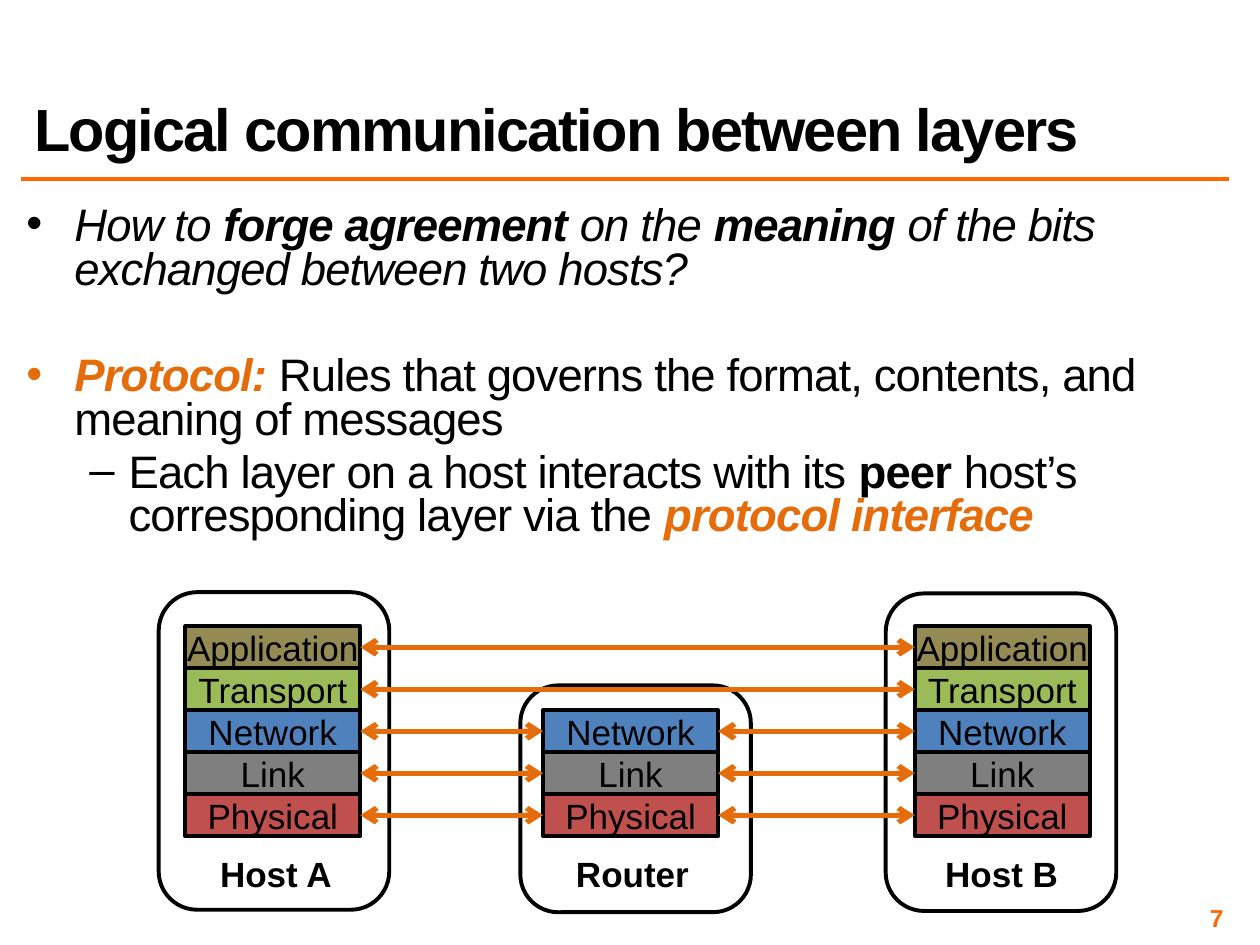
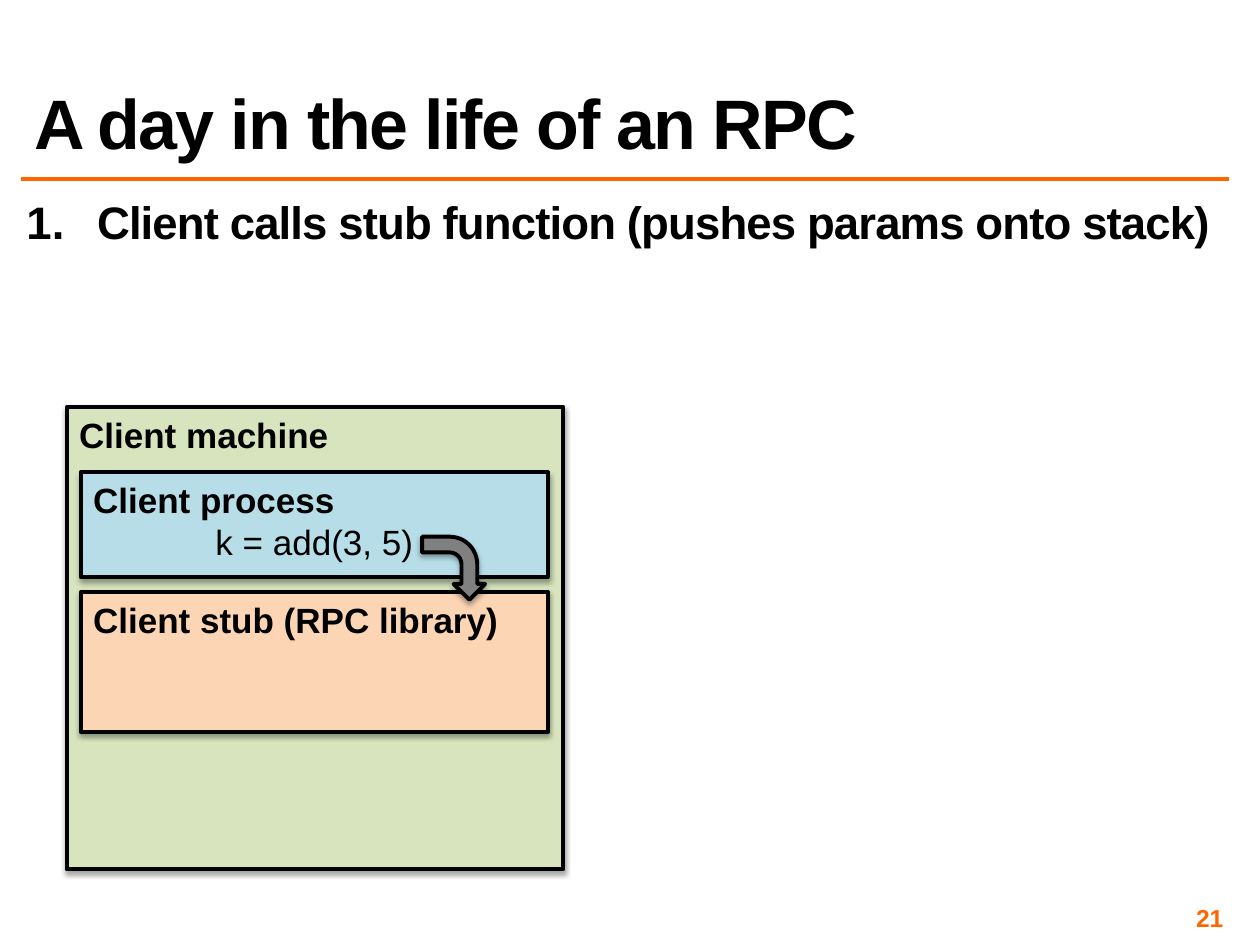
from lxml import etree
from pptx import Presentation
from pptx.dml.color import RGBColor
from pptx.enum.shapes import MSO_CONNECTOR, MSO_SHAPE
from pptx.enum.text import MSO_ANCHOR as Anchor, MSO_AUTO_SIZE as AutoSize, PP_ALIGN as Align
from pptx.oxml.ns import qn
from pptx.util import Inches, Pt

FONT = "Arial"
HEX = {
    "black": "000000", "rule": "FF6600", "accent": "E46C0A",
    "application": "948A54", "transport": "9BBB59", "network": "4F81BD",
    "link": "7F7F7F", "physical": "C0504D",
    "machine": "D7E4BD", "process": "B7DEE8", "stub": "FCD5B5", "call": "808080",
}
COLORS = {name: RGBColor.from_string(value) for name, value in HEX.items()}


def style_font(paragraph, size, color="black", bold=None, spacing=None):
    """Format a whole paragraph; spacing is in hundredths of a point."""
    font = paragraph.font
    font.name, font.size, font.bold = FONT, Pt(size), bold
    font.color.rgb = COLORS[color]
    if spacing:
        font._rPr.set("spc", str(spacing))


def add_outlined(slide, preset, left, top, width, height, fill=None):
    """Add a black-outlined shape without shadow, hollow if no fill is named."""
    shape = slide.shapes.add_shape(
        preset, Inches(left), Inches(top), Inches(width), Inches(height))
    shape.shadow.inherit = False
    if fill:
        shape.fill.solid()
        shape.fill.fore_color.rgb = COLORS[fill]
    else:
        shape.fill.background()
    shape.line.color.rgb = COLORS["black"]
    shape.line.width = Pt(2.25)
    return shape


prs = Presentation()
prs.slide_width, prs.slide_height = Inches(10), Inches(7.5)

# Each body paragraph: indent, hang, bullet tag, bullet attributes, bullet colour,
# space before, runs of (text, style), where b is bold, i italic and a accent.
dot = ("buChar", {"char": "•"})
dash = ("buChar", {"char": "–"})
number = ("buAutoNum", {"type": "arabicPeriod"})
protocol_points = [
    (0.38, 0.38, dot, "black", 0, [
        ("How to ", "i"), ("forge agreement ", "bi"), ("on the ", "i"),
        ("meaning", "bi"), (" of the bits exchanged between two hosts?", "i")]),
    (0.38, 0.38, dot, "accent", 36, [
        ("Protocol: ", "bia"),
        ("Rules that governs the format, contents, and meaning of messages", "")]),
    (0.81, 0.31, dash, "black", 5.2, [
        ("Each layer on a host interacts with its ", ""), ("peer", "b"),
        (" host’s corresponding layer via the ", ""), ("protocol interface", "bia")]),
]
rpc_steps = [
    (0.56, 0.56, number, "black", 0, [
        ("Client calls stub function (pushes params onto stack)", "b")]),
]
pages = [
    ("Logical communication between layers", 34, "7", 1.6, 2.79, protocol_points),
    ("A day in the life of an RPC", 40, "21", 1.58, 1.4, rpc_steps),
]

# Title, rule, body text and page number of every slide
slides = []
for heading, heading_size, page_number, body_top, body_height, points in pages:
    slide = prs.slides.add_slide(prs.slide_layouts[5])
    slides.append(slide)

    title = slide.shapes.title
    title.left, title.top = Inches(0.17), Inches(0.17)
    title.width, title.height = Inches(9.58), Inches(1.17)
    title.text_frame.text = heading
    title.text_frame.auto_size = AutoSize.NONE
    title.text_frame.vertical_anchor = Anchor.BOTTOM
    paragraph = title.text_frame.paragraphs[0]
    paragraph.alignment, paragraph.line_spacing = Align.LEFT, 0.8
    style_font(paragraph, heading_size, bold=True, spacing=-100)

    rule = slide.shapes.add_connector(
        MSO_CONNECTOR.STRAIGHT, Inches(0.17), Inches(1.42), Inches(9.75), Inches(1.42))
    rule.line.color.rgb, rule.line.width = COLORS["rule"], Pt(2)
    etree.SubElement(rule._element.spPr, qn("a:effectLst"))

    body = slide.shapes.add_textbox(
        Inches(0.17), Inches(body_top), Inches(9.59), Inches(body_height)).text_frame
    footer = slide.shapes.add_textbox(
        Inches(7.42), Inches(7.17), Inches(2.33), Inches(0.23)).text_frame
    for frame in (body, footer):
        frame.word_wrap = True
        frame.margin_left = frame.margin_right = Inches(0.04)
        frame.margin_top = frame.margin_bottom = Inches(0.04)

    for index, (indent, hang, bullet, bullet_color, gap, runs) in enumerate(points):
        paragraph = body.add_paragraph() if index else body.paragraphs[0]
        props = paragraph._p.get_or_add_pPr()
        props.set("marL", str(Inches(indent)))
        props.set("indent", str(-Inches(hang)))
        tint = etree.SubElement(props, qn("a:buClr"))
        etree.SubElement(tint, qn("a:srgbClr"), val=HEX[bullet_color])
        etree.SubElement(props, qn("a:buFont"), typeface=FONT)
        tag, attributes = bullet
        etree.SubElement(props, qn(f"a:{tag}"), attributes)
        paragraph.line_spacing, paragraph.space_before = 0.8, Pt(gap)
        style_font(paragraph, 26, spacing=-50)
        for text, style in runs:
            run = paragraph.add_run()
            run.text = text
            run.font.bold, run.font.italic = "b" in style, "i" in style
            if "a" in style:
                run.font.color.rgb = COLORS["accent"]

    footer.text = page_number
    footer.vertical_anchor = Anchor.MIDDLE
    footer.paragraphs[0].alignment = Align.RIGHT
    style_font(footer.paragraphs[0], 14, "rule", bold=True)

layers_slide, rpc_slide = slides

# Protocol stacks: name, stack left, first layer, label left, frame left, top, height
layers = ["Application", "Transport", "Network", "Link", "Physical"]
nodes = [
    ("Host A", 1.47, 0, 1.64, 1.26, 4.7, 2.52),
    ("Router", 4.31, 2, 4.47, 4.13, 5.44, 1.8),
    ("Host B", 7.26, 0, 7.4, 7.03, 4.71, 2.52),
]
layer_height = 1 / 3
stacks = {}
for node, stack_left, first_layer, label_left, frame_left, frame_top, frame_height in nodes:
    stacks[node] = {}
    for row, layer in enumerate(layers):
        if row < first_layer:
            continue
        box = add_outlined(layers_slide, MSO_SHAPE.RECTANGLE, stack_left,
                           4.97 + row * layer_height, 1.39, layer_height, layer.lower())
        box.text_frame.text = layer
        box.text_frame.word_wrap = False
        box.text_frame.vertical_anchor = Anchor.MIDDLE
        box.text_frame.paragraphs[0].alignment = Align.CENTER
        style_font(box.text_frame.paragraphs[0], 20)
        stacks[node][layer] = box

    label = layers_slide.shapes.add_textbox(
        Inches(label_left), Inches(6.72), Inches(1.1), Inches(0.44)).text_frame
    label.text = node
    label.word_wrap = False
    label.paragraphs[0].alignment = Align.CENTER
    style_font(label.paragraphs[0], 20, bold=True)
    add_outlined(layers_slide, MSO_SHAPE.ROUNDED_RECTANGLE,
                 frame_left, frame_top, 1.83, frame_height)

# Each layer talks to its nearest peers
for layer in layers:
    peers = [stack[layer] for stack in stacks.values() if layer in stack]
    for near, far in zip(peers, peers[1:]):
        link = layers_slide.shapes.add_connector(MSO_CONNECTOR.STRAIGHT, 0, 0, 0, 0)
        link.begin_connect(near, 3)
        link.end_connect(far, 1)
        link.line.color.rgb, link.line.width = COLORS["accent"], Pt(3)
        outline = link.line._get_or_add_ln()
        for end in ("headEnd", "tailEnd"):
            etree.SubElement(outline, qn(f"a:{end}"), type="arrow")
        etree.SubElement(link._element.spPr, qn("a:effectLst"))

# Client machine and the parts inside it, then the call between them
parts = [
    ("machine", 0.53, 3.23, 3.94, 3.67, ["Client machine"]),
    ("process", 0.64, 3.75, 3.71, 0.83, ["Client process", "k = add(3, 5)"]),
    ("stub", 0.64, 4.7, 3.71, 1.11, ["Client stub (RPC library)"]),
]
shaded = []
for fill, left, top, width, height, lines in parts:
    part = add_outlined(rpc_slide, MSO_SHAPE.RECTANGLE, left, top, width, height, fill)
    part.text_frame.text = "\n".join(lines)
    part.text_frame.vertical_anchor = Anchor.TOP
    for index, paragraph in enumerate(part.text_frame.paragraphs):
        paragraph.alignment = Align.CENTER if index else Align.LEFT
        style_font(paragraph, 20, bold=index == 0)
    shaded.append(part)

call_arrow = add_outlined(rpc_slide, MSO_SHAPE.BENT_ARROW, 3.35, 4.26, 0.5, 0.5, "call")
call_arrow.rotation = 90
shaded.append(call_arrow)

for shape in shaded:
    effects = shape._element.spPr.find(qn("a:effectLst"))
    shadow = etree.SubElement(effects, qn("a:outerShdw"), blurRad=str(Pt(3.1)),
                              dist=str(Pt(1.8)), dir="5400000", rotWithShape="0")
    shade = etree.SubElement(shadow, qn("a:srgbClr"), val=HEX["black"])
    etree.SubElement(shade, qn("a:alpha"), val="35000")

prs.save("out.pptx")
